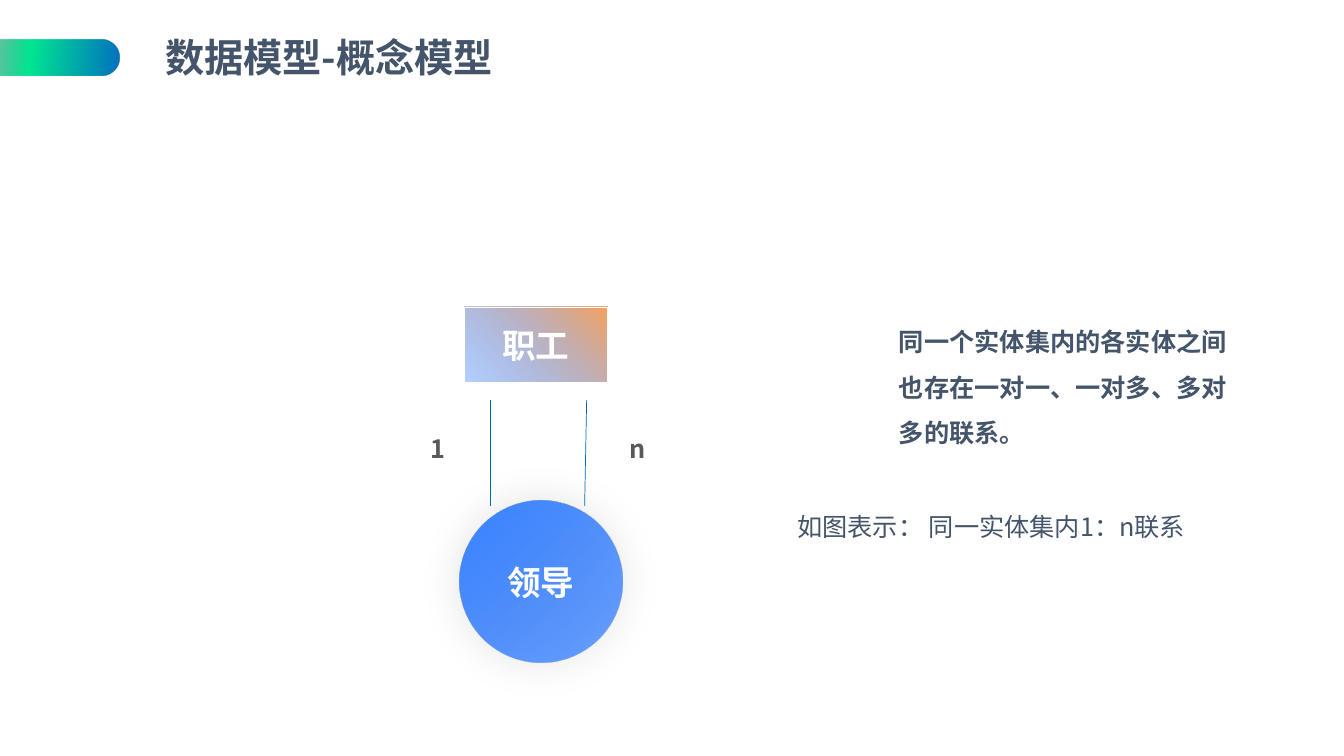
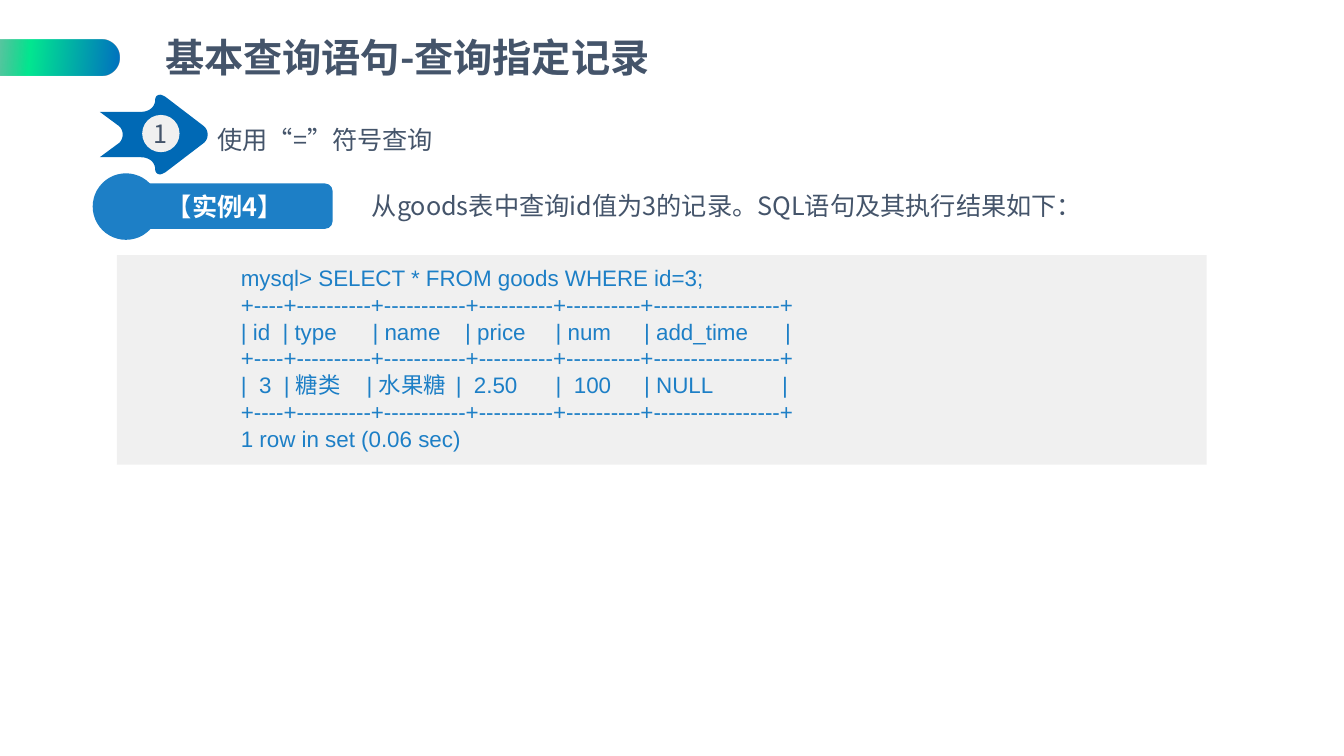
from dataclasses import dataclass
from typing import NamedTuple

from lxml.etree import SubElement
from pptx import Presentation
from pptx.dml.color import RGBColor
from pptx.enum.shapes import MSO_CONNECTOR, MSO_SHAPE
from pptx.enum.text import MSO_ANCHOR, PP_ALIGN
from pptx.oxml.ns import qn
from pptx.util import Inches, Pt

WIDTH, HEIGHT = Inches(13.33), Inches(7.5)
SANS, CODE = "Noto Sans CJK SC", "Arial"
INK, GREY, WHITE, PALE = "44546A", "595959", "FFFFFF", "F0F0F0"
NAVY, BLUE, SKY = "0069B5", "1D7FC6", "3982FF"


class Box(NamedTuple):
    """Left, top, width and height as percent of the slide."""
    x: float
    y: float
    w: float
    h: float


class Stop(NamedTuple):
    pos: int
    tint: str
    alpha: int = 100


@dataclass(frozen=True)
class Style:
    size: float = 18
    tint: str = INK
    bold: bool = False
    face: str = SANS
    align: PP_ALIGN = PP_ALIGN.LEFT
    lead: float = 1.0
    anchor: MSO_ANCHOR = MSO_ANCHOR.TOP
    tabs: int = 0


@dataclass(frozen=True)
class Label:
    box: Box
    text: str
    style: Style = Style()


MID = {"align": PP_ALIGN.CENTER, "anchor": MSO_ANCHOR.MIDDLE}
HEAD = Style(28, bold=True, lead=0.9, anchor=MSO_ANCHOR.MIDDLE)
NODE = Style(24, WHITE, True, **MID)
MARK = Style(18, GREY, True)
TAG = Style(18, WHITE, True, **MID)
BADGE = Style(**MID)
QUERY = Style(16, BLUE, face=CODE, tabs=6)


# Units and colour
def across(share: float) -> int:
    return round(WIDTH * share / 100)


def down(share: float) -> int:
    return round(HEIGHT * share / 100)


def place(box: Box) -> tuple:
    return across(box.x), down(box.y), across(box.w), down(box.h)


def paint(tint: str) -> RGBColor:
    return RGBColor.from_string(tint)


def node(parent, tag: str, **attrs):
    return SubElement(parent, qn(tag), {k: str(v) for k, v in attrs.items()})


def shade(parent, tint: str, alpha: int) -> None:
    tone = node(parent, "a:srgbClr", val=tint)
    if alpha < 100:
        node(tone, "a:alpha", val=alpha * 1000)


# Text
def write(shape, text: str, style: Style) -> None:
    frame = shape.text_frame
    frame.word_wrap = True
    frame.vertical_anchor = style.anchor
    frame.text = text
    for para in frame.paragraphs:
        para.alignment = style.align
        para.line_spacing = style.lead
        if style.tabs:
            stops = node(para._p.get_or_add_pPr(), "a:tabLst")
            for inch in range(1, style.tabs + 1):
                node(stops, "a:tab", pos=Inches(inch), algn="l")
        font = para.font
        font.size, font.bold = Pt(style.size), style.bold
        font.color.rgb = paint(style.tint)
        font.name = style.face
        node(font._element, "a:ea", typeface=SANS)


def label(slide, item: Label) -> None:
    write(slide.shapes.add_textbox(*place(item.box)), item.text, item.style)


# Shapes
def solid(shape, tint: str) -> None:
    shape.shadow.inherit = False
    shape.fill.solid()
    shape.fill.fore_color.rgb = paint(tint)
    shape.line.fill.background()


def block(slide, kind: MSO_SHAPE, box: Box, tint: str):
    shape = slide.shapes.add_shape(kind, *place(box))
    solid(shape, tint)
    return shape


def blend(shape, angle: float, *stops: Stop) -> None:
    shape.fill.gradient()
    shape.fill.gradient_angle = 360 - angle
    ramp = shape._element.spPr.find(qn("a:gradFill")).find(qn("a:gsLst"))
    for old in list(ramp):
        ramp.remove(old)
    for stop in stops:
        shade(node(ramp, "a:gs", pos=stop.pos * 1000), stop.tint, stop.alpha)


def glow(shape, blur: float, alpha: int) -> None:
    effects = shape._element.spPr.find(qn("a:effectLst"))
    outer = node(effects, "a:outerShdw", blurRad=Pt(blur), dist=0, dir=0,
                 algn="ctr", rotWithShape=0)
    shade(outer, "000000", alpha)


def link(slide, start: tuple, end: tuple) -> None:
    line = slide.shapes.add_connector(
        MSO_CONNECTOR.STRAIGHT, across(start[0]), down(start[1]),
        across(end[0]), down(end[1]))
    line.line.color.rgb = paint(NAVY)
    line.line.width = Pt(0.5)
    node(line._element.spPr, "a:effectLst")


# Arrow: upper half from notch to tip, mirrored below; three points make a curve
NOTCH, TALL = (25.75, 39.5), 79
HALF = [
    ((25.75, 36.5), (24.5, 33), (22, 31)),
    ((3, 17),),
    ((44, 17),),
    ((52, 17), (58, 12), (58, 5)),
    ((58, 2), (60, 0), (63, 0)),
    ((64, 0), (66, 1), (68, 2)),
    ((106, 31),),
    ((108.5, 33), (110, 36), (110, 39.5)),
]


def bend(a: tuple, b: tuple, c: tuple, d: tuple, steps: int = 10) -> list:
    def at(t: float) -> tuple:
        s = 1 - t
        return tuple(s**3 * p + 3 * s * s * t * q + 3 * s * t * t * r + t**3 * e
                     for p, q, r, e in zip(a, b, c, d))
    return [at(i / steps) for i in range(1, steps + 1)]


def arrow(slide, left: float, top: float, tint: str) -> None:
    points = [NOTCH]
    for part in HALF:
        points += bend(points[-1], *part) if len(part) == 3 else part
    points += [(x, TALL - y) for x, y in points[-2:0:-1]]
    fine = [(x * 100, y * 100) for x, y in points]
    pen = slide.shapes.build_freeform(*fine[0], scale=WIDTH / 133300)
    pen.add_line_segments(fine[1:], close=True)
    solid(pen.convert_to_shape(across(left), down(top)), tint)


# Slides
def base(deck, title: str):
    slide = deck.slides.add_slide(deck.slide_layouts[6])
    band = block(slide, MSO_SHAPE.ROUNDED_RECTANGLE,
                 Box(-5.1, 5.2, 13.95, 4.8), NAVY)
    band.adjustments[0] = 0.5
    blend(band, 5, Stop(0, "272D3D", 0), Stop(52, "03E790"),
          Stop(100, "0070C0"))
    label(slide, Label(Box(11.55, 4.4, 68.8, 6.95), title, HEAD))
    return slide


def model(deck) -> None:
    slide = base(deck, "数据模型-概念模型")
    staff = block(slide, MSO_SHAPE.RECTANGLE, Box(34.54, 40.6, 10.65, 10), SKY)
    blend(staff, 135, Stop(0, "FAA35E"), Stop(99, SKY, 37))
    staff.line.color.rgb = paint(WHITE)
    staff.line.width = Pt(0.25)
    write(staff, "职工", NODE)

    chief = block(slide, MSO_SHAPE.OVAL, Box(34.2, 66.27, 12.08, 21.33), SKY)
    blend(chief, 45, Stop(1, SKY), Stop(100, SKY, 73))
    glow(chief, 30, 13)
    write(chief, "领导", NODE)

    for upper, lower in ((36.45, 36.45), (43.65, 43.5)):
        link(slide, (upper, 52.93), (lower, 66.93))

    for item in (
        Label(Box(31.28, 56.6, 10.35, 5.33), "1", MARK),
        Label(Box(46.13, 56.6, 10.35, 5.33), "n", MARK),
        Label(Box(66.15, 40.53, 27.7, 18.1),
              "同一个实体集内的各实体之间也存在一对一、一对多、多对多的联系。",
              Style(bold=True, lead=1.5)),
        Label(Box(58.58, 66.93, 35.2, 5.33),
              "如图表示： 同一实体集内1：n联系"),
    ):
        label(slide, item)


RULE = "+----+----------+-----------+----------+----------+-----------------+"
LINES = [
    "mysql> SELECT * FROM goods WHERE id=3;",
    RULE,
    "| id  | type\t     | name    | price\t  | num\t| add_time      |",
    RULE,
    "|  3  | 糖类\t     | 水果糖  |  2.50\t  |  100\t| NULL\t      |",
    RULE,
    "1 row in set (0.06 sec)",
]


def query(deck) -> None:
    slide = base(deck, "基本查询语句-查询指定记录")
    # Numbered arrow
    arrow(slide, 7.2, 12.53, NAVY)
    badge = block(slide, MSO_SHAPE.OVAL, Box(10.58, 15.2, 2.78, 4.93), PALE)
    frame = badge.text_frame
    frame.margin_left = frame.margin_right = 0
    frame.margin_top = frame.margin_bottom = 0
    write(badge, "1", BADGE)
    # Example tag
    block(slide, MSO_SHAPE.OVAL, Box(6.9, 22.93, 4.95, 8.8), BLUE)
    tag = block(slide, MSO_SHAPE.ROUNDED_RECTANGLE,
                Box(8.7, 24.27, 16.05, 6), BLUE)
    write(tag, "【实例4】", TAG)
    # Code panel and texts
    block(slide, MSO_SHAPE.RECTANGLE, Box(8.7, 33.73, 81.08, 27.73), PALE)
    for item in (
        Label(Box(15.45, 13.73, 76.05, 6.67), "使用“=”符号查询",
              Style(align=PP_ALIGN.JUSTIFY, lead=1.5)),
        Label(Box(26.93, 24.53, 63.83, 5.33),
              "从goods表中查询id值为3的记录。SQL语句及其执行结果如下："),
        Label(Box(17.18, 34.27, 70.35, 26.53), "\n".join(LINES), QUERY),
    ):
        label(slide, item)


def main() -> None:
    deck = Presentation()
    deck.slide_width, deck.slide_height = WIDTH, HEIGHT
    model(deck)
    query(deck)
    deck.save("out.pptx")


if __name__ == "__main__":
    main()
